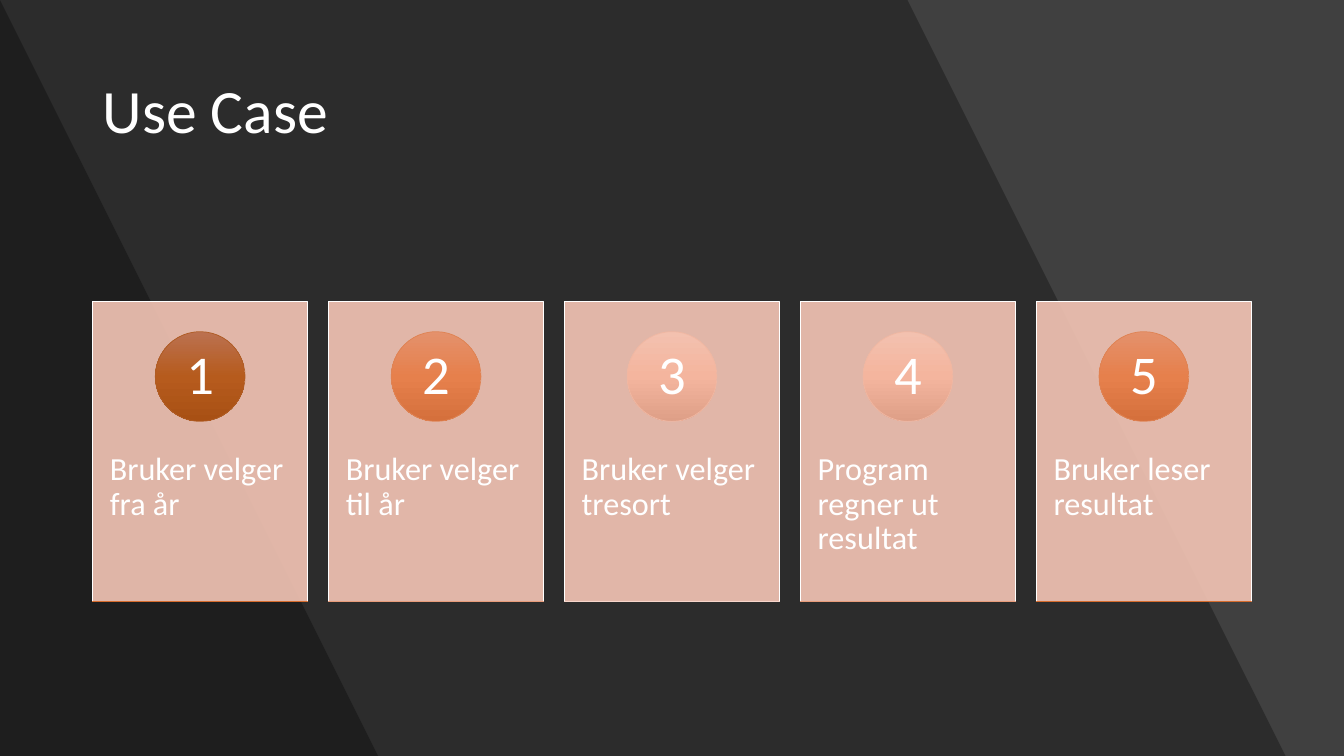
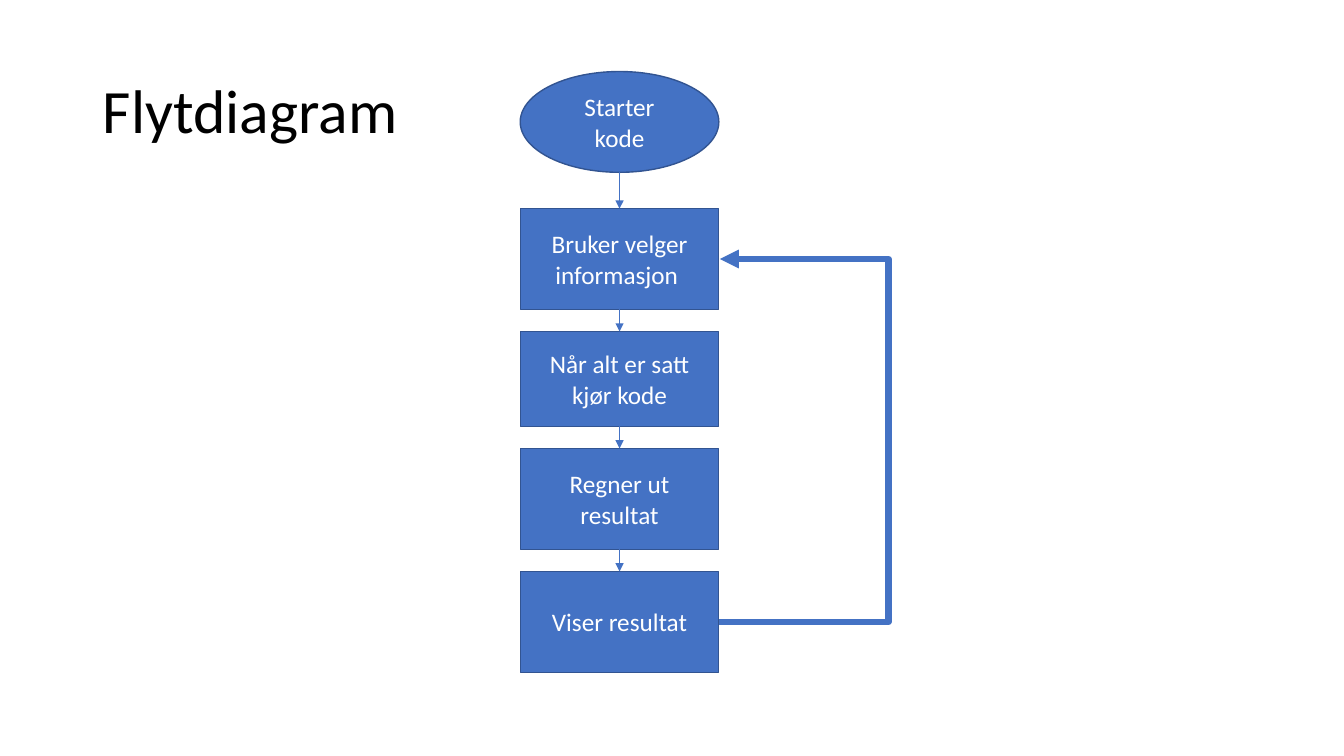
from dataclasses import dataclass
from lxml import etree
from pptx import Presentation, util as u
from pptx.dml.color import RGBColor
from pptx.enum import shapes, text
from pptx.oxml.ns import qn


@dataclass(frozen=True)
class Theme:
    font: str = "Calibri"
    white: str = "FFFFFF"
    black: str = "000000"
    charcoal: str = "404040"
    peach: str = "F5C6B6"
    blue: str = "4472C4"
    navy: str = "325491"
    title: int = 44
    number: int = 39
    card: int = 23
    node: int = 18
    # Three gradient stops, then the outline colour
    rust: tuple = ("BB7150", "B65B1D", "A85014", "AF5C24")
    orange: tuple = ("E4916C", "E6804C", "D5703C", "DF8353")
    salmon: tuple = ("F3C1AF", "F4B59E", "DE9F87", "F0B7A2")
    deep_rule: tuple = ("DC7E55", "DE6A25", "CF5C17", "D66C2D")
    mid_rule: tuple = ("ECA88B", "ED9A75", "DA8661", "E89C7A")
    pale_rule: tuple = ("F9DDD5", "F9D4C8", "E1BAAE", "F7D5CA")


T = Theme()
W, H = 13.33, 7.5
RECT, OVAL = shapes.MSO_SHAPE.RECTANGLE, shapes.MSO_SHAPE.OVAL
LEFT, CENTER = text.PP_ALIGN.LEFT, text.PP_ALIGN.CENTER


def write(sp, words, size, color=T.white, align=CENTER, spacing=0.9,
          anchor=text.MSO_ANCHOR.MIDDLE, margins=(0.1, 0.05, 0.1, 0.05)):
    tf = sp.text_frame
    tf.word_wrap, tf.auto_size = True, text.MSO_AUTO_SIZE.NONE
    tf.vertical_anchor = anchor
    tf.margin_left, tf.margin_top, tf.margin_right, tf.margin_bottom = map(u.Inches, margins)
    p = tf.paragraphs[0]
    p.alignment, p.line_spacing = align, spacing
    r = p.add_run()
    r.text = words
    r.font.name, r.font.size = T.font, u.Pt(size)
    r.font.color.rgb = RGBColor.from_string(color)


def paint(sp, fill, line=None, width=0.5, opacity=100):
    sp.shadow.inherit = False
    if isinstance(fill, tuple):
        *stops, line = fill
        sp.fill.gradient()
        sp.fill.gradient_angle = 270
        gs_list = sp.element.spPr.find(".//" + qn("a:gsLst"))
        gs_list.clear()
        for i, color in enumerate(stops):
            gs = etree.SubElement(gs_list, qn("a:gs"), pos=str(50000 * i))
            etree.SubElement(gs, qn("a:srgbClr"), val=color)
    else:
        sp.fill.solid()
        sp.fill.fore_color.rgb = RGBColor.from_string(fill)
        if opacity < 100:
            color = sp.element.spPr.find(qn("a:solidFill"))[0]
            etree.SubElement(color, qn("a:alpha"), val=str(opacity * 1000))
    if line:
        sp.line.color.rgb = RGBColor.from_string(line)
        sp.line.width = u.Pt(width)
    else:
        sp.line.fill.background()


prs = Presentation()
prs.slide_width, prs.slide_height = u.Inches(W), u.Inches(H)

# Shared title position
layout = prs.slide_layouts[5]
holder = layout.placeholders[0]
holder.left, holder.top, holder.width, holder.height = map(u.Inches, (0.92, 0.4, 11.5, 1.45))

# Slides with background and title
slides = []
for heading, color, back in (("Use Case", T.white, T.charcoal),
                             ("Flytdiagram", T.black, T.white)):
    s = prs.slides.add_slide(layout)
    s.background.fill.solid()
    s.background.fill.fore_color.rgb = RGBColor.from_string(back)
    write(s.shapes.title, heading, T.title, color, LEFT)
    slides.append(s)
cases, flow = slides

# Slanted bands behind the title
for i, (top_x, bottom_x) in enumerate(((9.42, 12.89), (0.44, 3.92))):
    outline = cases.shapes.build_freeform(0, 0, scale=u.Inches(1))
    outline.add_line_segments(((top_x, 0), (bottom_x, H), (0, H)))
    band = outline.convert_to_shape()
    paint(band, T.black, opacity=30)
    cases.shapes.element.insert(2 + i, band.element)

# Numbered cards
card_x, card_y, card_w, card_h, pitch = 0.92, 2.99, 2.13, 2.98, 2.34
disc = 0.89
steps = (("Bruker velger fra år", T.rust, T.deep_rule),
         ("Bruker velger til år", T.orange, T.mid_rule),
         ("Bruker velger tresort", T.salmon, T.pale_rule),
         ("Program regner ut resultat", T.salmon, T.mid_rule),
         ("Bruker leser resultat", T.orange, T.deep_rule))
for i, (words, disc_fill, rule_fill) in enumerate(steps):
    x = card_x + i * pitch
    card, circle, rule = (
        cases.shapes.add_shape(kind, *map(u.Inches, box)) for kind, box in (
            (RECT, (x, card_y, card_w, card_h)),
            (OVAL, (x + (card_w - disc) / 2, card_y + 0.3, disc, disc)),
            (RECT, (x, card_y + card_h, card_w, 0))))
    paint(card, T.peach, T.white, opacity=90)
    write(card, words, T.card, align=LEFT, anchor=text.MSO_ANCHOR.TOP,
          margins=(0.17, 1.5, 0.17, 0.05))
    paint(circle, disc_fill)
    write(circle, str(i + 1), T.number, margins=(0.07, 0.01, 0.07, 0.01))
    paint(rule, rule_fill)

# Flowchart nodes, each with the gap below it
node_x, node_w, y = 5.16, 1.97, 0.71
mid_x = node_x + node_w / 2
STRAIGHT, ELBOW = shapes.MSO_CONNECTOR.STRAIGHT, shapes.MSO_CONNECTOR.ELBOW
arrows = []
for kind, words, h, gap in ((OVAL, "Starter kode", 1, 0.36),
                            (RECT, "Bruker velger informasjon ", 1, 0.22),
                            (RECT, "Når alt er satt kjør kode", 0.94, 0.22),
                            (RECT, "Regner ut resultat", 1, 0.22),
                            (RECT, "Viser resultat", 1, 0)):
    node = flow.shapes.add_shape(kind, *map(u.Inches, (node_x, y, node_w, h)))
    paint(node, T.blue, T.navy, 1)
    write(node, words, T.node, spacing=1)
    if gap:
        arrows.append((STRAIGHT, (mid_x, y + h, mid_x, y + h + gap), 0.5))
    y += h + gap

# Arrows, with the return loop first
loop_x, loop_dx, loop_reach = node_x + node_w, 0.01, 1.71
arrows.insert(0, (ELBOW, (loop_x, 6.17, loop_x + loop_dx, 2.57), 4.5))
for kind, ends, width in arrows:
    arrow = flow.shapes.add_connector(kind, *map(u.Inches, ends))
    arrow.line.color.rgb = RGBColor.from_string(T.blue)
    arrow.line.width = u.Pt(width)
    spPr = arrow.element.spPr
    etree.SubElement(spPr.find(qn("a:ln")), qn("a:tailEnd"), type="triangle")
    etree.SubElement(spPr, qn("a:effectLst"))
    if kind == ELBOW:
        bend = round(loop_reach / loop_dx * 100000)
        etree.SubElement(spPr.find(".//" + qn("a:avLst")), qn("a:gd"),
                         name="adj1", fmla=f"val {bend}")

prs.save("out.pptx")
